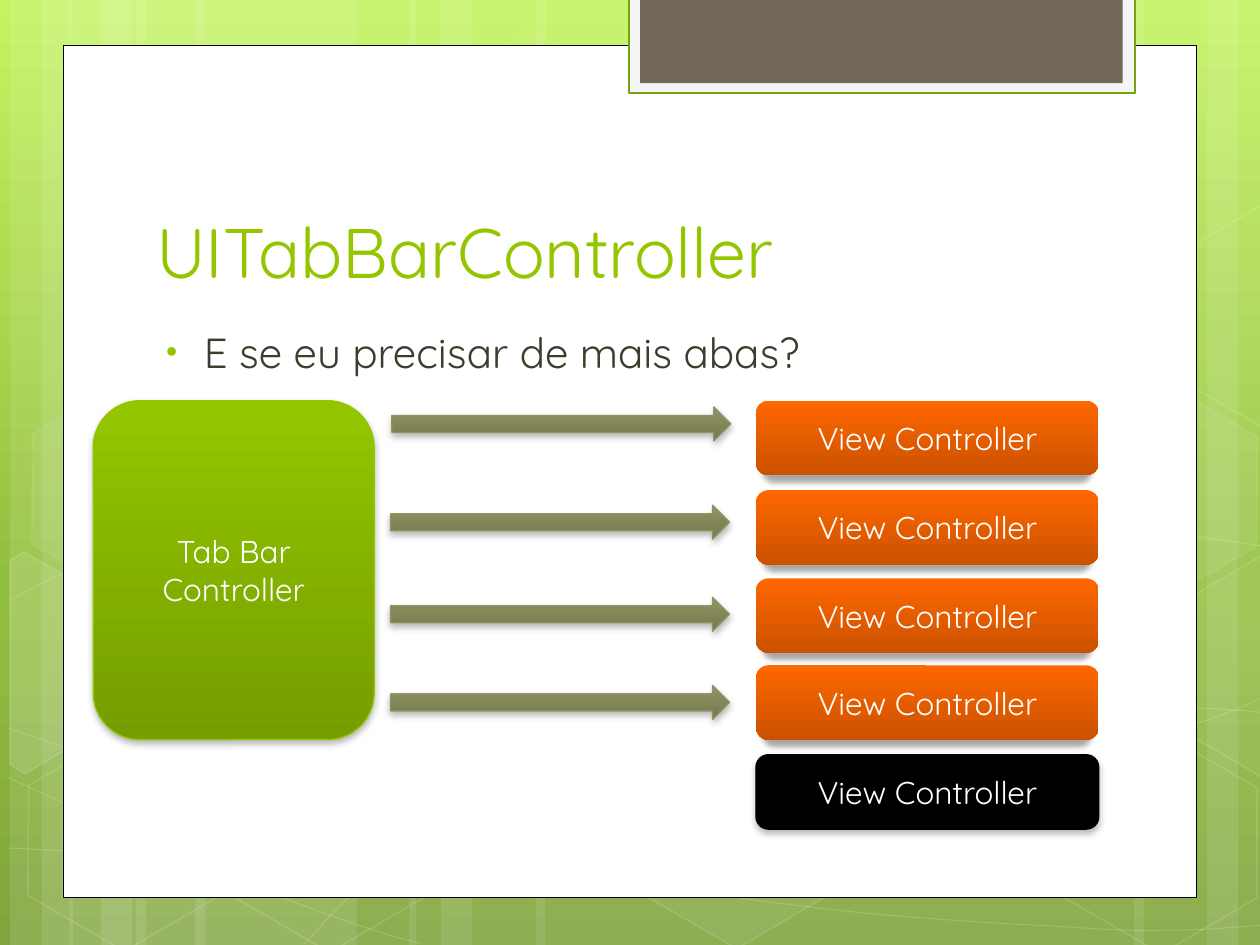
from copy import deepcopy
from lxml import etree
from pptx import Presentation
from pptx import util as u
from pptx.dml.color import RGBColor
from pptx.enum import shapes, text
from pptx.oxml.ns import qn

INK = {"white": "FFFFFF", "black": "000000", "lime": "94C600", "leaf": "769D00",
       "edge": "74A510", "pale": "F5F5F5", "brown": "71685A", "body": "3E3D2D",
       "fire": "FF6700", "rust": "CB5200", "moss": "909465", "olive": "75794C",
       "sky": "C3F35F", "mid": "93BF3F", "base": "81A53E"}
FONT = "Quicksand"
KIND = shapes.MSO_SHAPE
SOFT = (28, 4, 2, 100)    # shadow: opacity %, blur pt, distance pt, width %
DEEP = (34, 3.5, 4, 96)


def rgb(name):
    return RGBColor.from_string(INK[name])


def add(parent, tag, **attrs):
    return etree.SubElement(parent, qn(tag), attrs)


def blend(fill, names):
    """Fill from top to bottom with two colours."""
    fill.gradient()
    fill.gradient_angle = 270
    for pos, (stop, name) in enumerate(zip(fill.gradient_stops, names)):
        stop.color.rgb = rgb(name)
        stop.position = pos


def fade(node, pct):
    add(node.find(".//" + qn("a:srgbClr")), "a:alpha", val=str(pct * 1000))


def paint(shape, fill=None, line=None, width=0.75, alpha=100, glow=100, shade=None):
    """Set fill, line, their opacity and the shadow."""
    props = shape.element.spPr
    shape.shadow.inherit = False
    if isinstance(fill, tuple):
        blend(shape.fill, fill)
    elif fill:
        shape.fill.solid()
        shape.fill.fore_color.rgb = rgb(fill)
        if alpha < 100:
            fade(props.find(qn("a:solidFill")), alpha)
    else:
        shape.fill.background()
    if line:
        shape.line.color.rgb = rgb(line)
        shape.line.width = u.Pt(width)
        if glow < 100:
            fade(props.find(qn("a:ln")), glow)
    else:
        shape.line.fill.background()
    if shade:
        clear, blur, dist, wide = shade
        cast = add(props.find(qn("a:effectLst")), "a:outerShdw", blurRad=str(u.Pt(blur)),
                   dist=str(u.Pt(dist)), dir="5400000", sx=str(wide * 1000),
                   rotWithShape="0")
        hue = add(cast, "a:srgbClr", val=INK["black"])
        add(hue, "a:alpha", val=str(clear * 1000))
    return shape


def block(slide, kind, box, **style):
    return paint(slide.shapes.add_shape(kind, *map(u.Inches, box)), **style)


def trace(slide, points, closed, **style):
    dots = [(u.Inches(x), u.Inches(y)) for x, y in points]
    pen = slide.shapes.build_freeform(*dots[0], scale=1.0)
    pen.add_line_segments(dots[1:], close=closed)
    return paint(pen.convert_to_shape(), **style)


def curve(shape):
    """Turn every three line segments into one cubic curve."""
    lines = list(shape.element.iter(qn("a:lnTo")))
    for first in range(0, len(lines), 3):
        trio = lines[first:first + 3]
        arc = etree.Element(qn("a:cubicBezTo"))
        trio[0].addprevious(arc)
        for line in trio:
            arc.append(line[0])
            line.getparent().remove(line)


def write(frame, words, size, color):
    frame.word_wrap = True
    para = frame.paragraphs[0]
    para.text = words
    para.font.name, para.font.size = FONT, u.Pt(size)
    para.font.color.rgb = rgb(color)
    return para


def label(shape, words):
    shape.text_frame.vertical_anchor = text.MSO_ANCHOR.MIDDLE
    write(shape.text_frame, words, 18, "white").alignment = text.PP_ALIGN.CENTER


BANDS = [(1.08, 1.75), (0.08, 0.5), (0.33, 0.83), (1.55, 1.75), (0.55, 0.5), (0.8, 0.83),
         (7.33, 1.75), (9.58, 0.5), (9, 0.83), (4.25, 3.08), (3.25, 0.5), (3.5, 0.83)]
# Start, then three knots for each curve
WAVES = [
    [(0.07, 6.73), (0.61, 6.76), (1.15, 6.79), (1.9, 6.78), (2.65, 6.77), (3.58, 6.75),
     (4.58, 6.65), (5.58, 6.55), (7, 6.36), (7.92, 6.17), (8.83, 5.98), (9.77, 5.68),
     (10.07, 5.51)],
    [(0.07, 4.77), (0.36, 4.61), (0.65, 4.46), (1.21, 4.31), (1.78, 4.16), (2.59, 3.94),
     (3.47, 3.87), (4.36, 3.8), (5.44, 3.79), (6.54, 3.87), (7.64, 3.95), (9.47, 4.26),
     (10.07, 4.34)],
    [(0.06, 6.17), (1.27, 6.72), (2.47, 7.27), (3.34, 7.49)],
    [(0.07, 5.78), (0.38, 5.89), (0.7, 6), (1.28, 6.16), (1.86, 6.31), (2.73, 6.56),
     (3.57, 6.73), (4.4, 6.9), (5.45, 7.08), (6.28, 7.18), (7.11, 7.29), (8, 7.33),
     (8.53, 7.36), (9.05, 7.4), (9.19, 7.38), (9.45, 7.38), (9.71, 7.37), (9.89, 7.35),
     (10.07, 7.34)],
    [(2.42, 7.49), (2.6, 7.29), (2.78, 7.09), (3.02, 6.91), (3.26, 6.73), (3.6, 6.53),
     (3.88, 6.39), (4.16, 6.25), (4.33, 6.19), (4.7, 6.09), (5.06, 5.99), (5.73, 5.85),
     (6.08, 5.78), (6.44, 5.71), (6.49, 5.71), (6.8, 5.69), (7.11, 5.66), (7.6, 5.63),
     (7.94, 5.62), (8.29, 5.61), (8.86, 5.62), (8.86, 5.62), (8.86, 5.62), (9.53, 5.62),
     (9.53, 5.62), (9.71, 5.63), (9.88, 5.64), (9.97, 5.65), (10.06, 5.66), (10.03, 5.65),
     (10.06, 5.66)]]
# Left, top, fill opacity (0 for none), line opacity
HEXES = [(3.34, 0.36, 4, 8), (4.97, 5.89, 6, 12), (0.11, 5.91, 0, 12), (0.14, 3.12, 7, 8),
         (1.74, 5.92, 0, 12), (7.53, 4.53, 10, 12), (8.34, 5.93, 0, 12), (8.34, 3.14, 7, 8)]
# Hexagons cut off by the slide edge: fill opacity, corners
CUTS = [(10, [(0.08, 4.45), (0.19, 4.38), (0.96, 4.82), (0.95, 5.7), (0.2, 6.14), (0.08, 6.07)]),
        (4, [(9.26, 4.85), (10.01, 4.41), (10.09, 4.46), (10.09, 6.13), (10.02, 6.17),
             (9.26, 5.73)]),
        (0, [(9.26, 2.07), (10.01, 1.63), (10.1, 1.68), (10.09, 3.35), (10.02, 3.39),
             (9.26, 2.95)])]


def scene(slide, box):
    """Green backdrop with bands, waves and hexagons."""
    left, top, _, high = box
    fill = slide.background.fill
    blend(fill, ("sky", "base"))
    stops = slide.element.find(".//" + qn("a:gsLst"))
    stops.insert(1, deepcopy(stops[0]))
    fill.gradient_stops[1].position = 0.62
    fill.gradient_stops[1].color.rgb = rgb("mid")

    def move(points):
        return [(left + x, top + y) for x, y in points]

    for x, wide in BANDS:
        block(slide, KIND.RECTANGLE, (left + x, top, wide, high), fill="white", alpha=10)
    for knots in WAVES:
        curve(trace(slide, move(knots), False, line="white", width=0.5, glow=20))
    for x, y, alpha, glow in HEXES:
        cell = block(slide, KIND.HEXAGON, (left + x, top + y, 1.75, 1.52),
                     fill="white" if alpha else None, alpha=alpha,
                     line="white", width=1, glow=glow)
        cell.adjustments[0], cell.adjustments[1] = 0.285, 1.155
        cell.rotation = 30
    for alpha, points in CUTS:
        trace(slide, move(points), True, fill="white" if alpha else None, alpha=alpha,
              line="white", width=1, glow=12)


def panel(slide, box):
    """White page with the tab hanging over its top edge."""
    left, top = box[:2]
    block(slide, KIND.RECTANGLE, box, fill="white", line="black", width=0.5)
    block(slide, KIND.RECTANGLE, (left + 4.49, top - 0.38, 4.02, 0.76),
          fill="pale", line="edge", width=1.25)
    block(slide, KIND.RECTANGLE, (left + 4.58, top - 0.38, 3.83, 0.68), fill="brown")


def heading(slide, box):
    """Title, and the bulleted question below it."""
    left, top, wide, high = box
    head = slide.shapes.add_textbox(*map(u.Inches, (left, top, wide, 1.25))).text_frame
    head.vertical_anchor = text.MSO_ANCHOR.BOTTOM
    write(head, "UITabBarController", 40, "lime")
    body = slide.shapes.add_textbox(*map(u.Inches, (left, top + 1.42, 7.41, high - 1.42)))
    para = write(body.text_frame, "E se eu precisar de mais abas?", 24, "body")
    para.space_before = u.Pt(4.8)
    props = para._p.get_or_add_pPr()
    props.set("marL", str(u.Inches(0.38)))
    props.set("indent", str(u.Inches(-0.3)))
    marks = [etree.Element(qn(tag)) for tag in ("a:buClr", "a:buSzPct", "a:buFont", "a:buChar")]
    add(marks[0], "a:srgbClr", val=INK["lime"])
    marks[1].set("val", "76000")
    marks[2].set("typeface", "Arial")
    marks[3].set("char", "•")
    spot = props.index(props.find(qn("a:spcBef"))) + 1
    props[spot:spot] = marks


def diagram(slide, box):
    """Tab bar on the left, arrows, and a column of view controllers."""
    left, top = box[:2]

    def card(drop, **look):
        label(block(slide, KIND.ROUNDED_RECTANGLE, (left + 5.26, top + drop, 2.72, 0.59),
                    **look), "View Controller")

    bar = block(slide, KIND.ROUNDED_RECTANGLE, (left, top, 2.23, 2.69),
                fill=("lime", "leaf"), line="lime", shade=SOFT)
    label(bar, "Tab Bar Controller")
    card(2.81, fill="black", line="black", shade=SOFT)
    # Card drop, arrow indent, arrow drop
    for drop, dent, dart in ((2.1, 2.36, 2.26), (0, 2.37, 0.05),
                             (0.71, 2.36, 0.83), (1.41, 2.36, 1.56)):
        card(drop, fill=("fire", "rust"), shade=DEEP)
        block(slide, KIND.RIGHT_ARROW, (left + dent, top + dart, 2.69, 0.27),
              fill=("moss", "olive"), line="moss", shade=SOFT)


def main():
    deck = Presentation()
    deck.slide_width, deck.slide_height = u.Inches(10), u.Inches(7.5)
    slide = deck.slides.add_slide(deck.slide_layouts[6])
    scene(slide, (0, 0, 10, 7.5))
    panel(slide, (0.5, 0.36, 9, 6.76))
    heading(slide, (1.14, 1.12, 7.68, 5.26))
    diagram(slide, (0.74, 3.18, 7.98, 3.4))
    deck.save("out.pptx")


if __name__ == "__main__":
    main()
